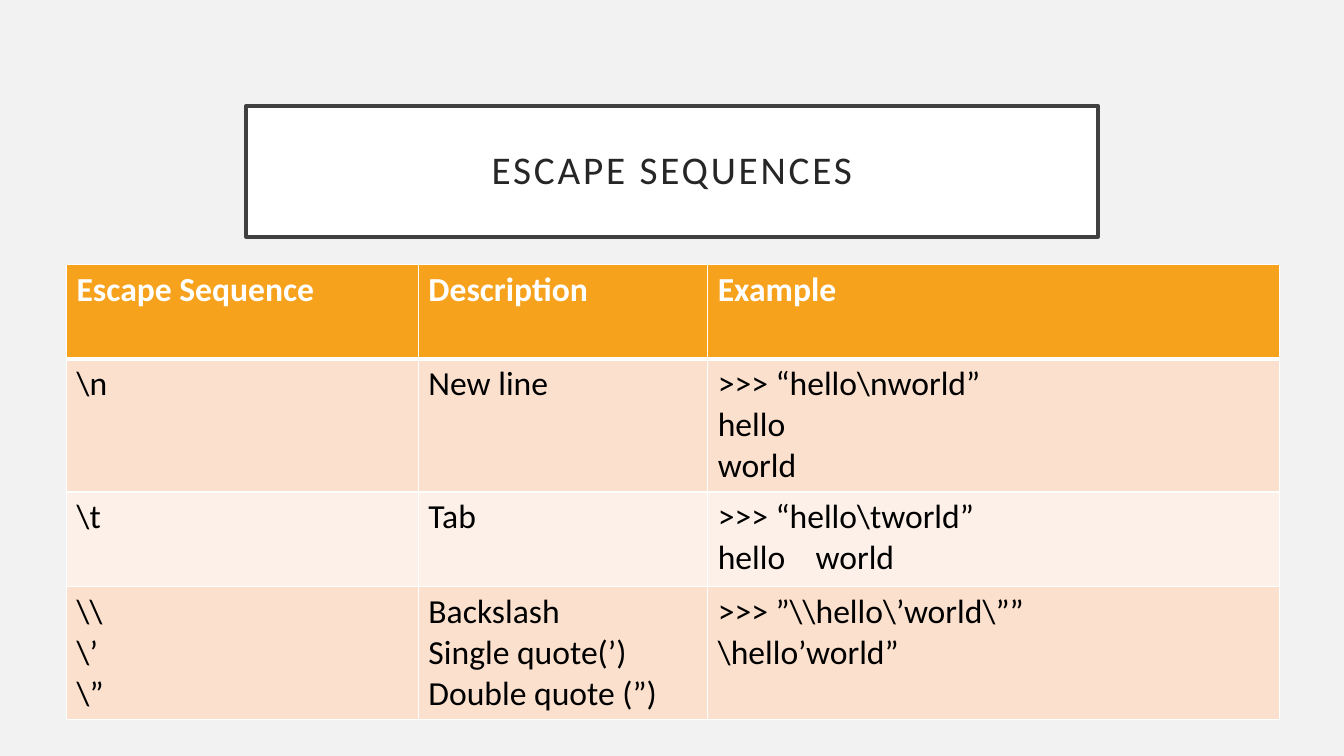
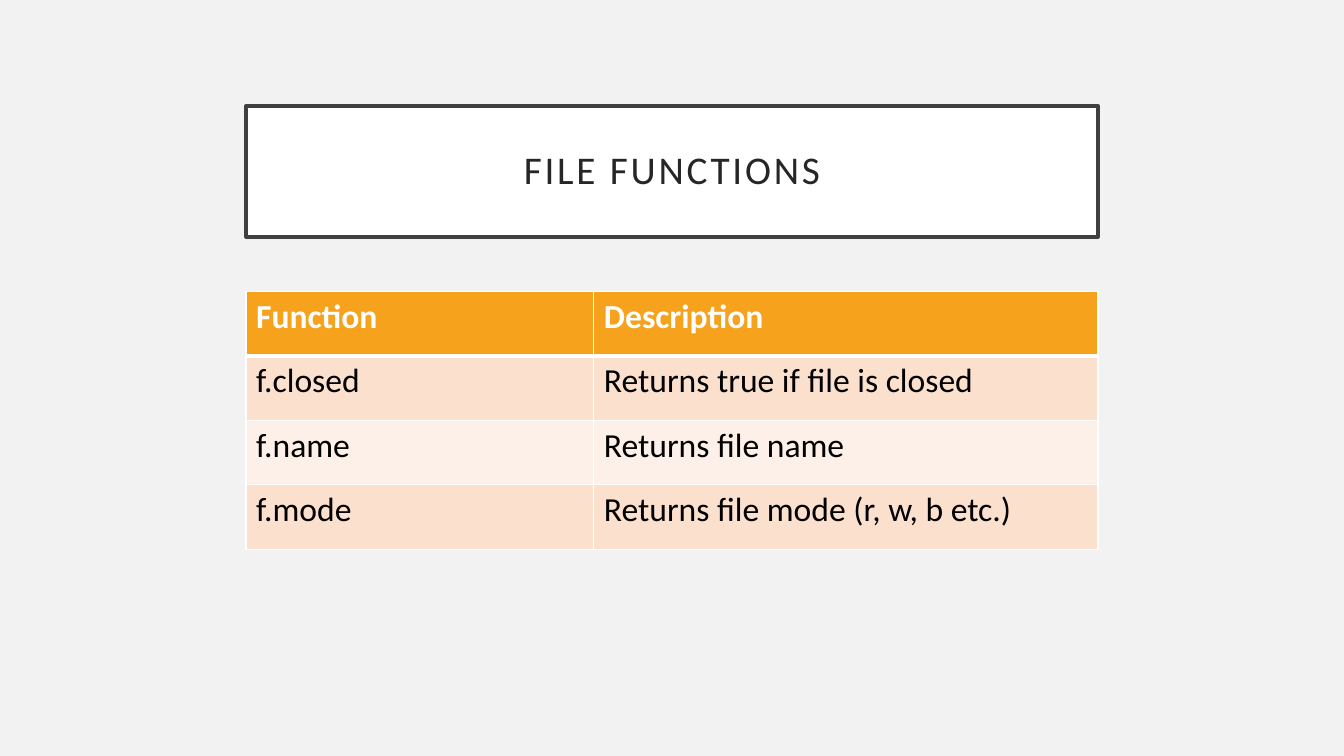
import lxml.etree
import pptx
import pptx.dml.color
import pptx.enum.shapes
import pptx.enum.text
import pptx.oxml.ns
import pptx.util

PX = 9144
FONT = "Calibri"
BACKGROUND = "F2F2F2"
WHITE = "FFFFFF"
FRAME = "404040"
TITLE_INK = "262626"
HEADER_FILL = "F6A21D"
BAND_FILLS = ["FBE0CD", "FDF0E8"]
TITLE_BOX = (244, 105, 845, 130)
TITLE_FORMAT = {"name": FONT, "size": pptx.util.Pt(28)}
HEADER_FORMAT = {"name": FONT, "size": pptx.util.Pt(24), "bold": True}
BODY_FORMAT = {**HEADER_FORMAT, "bold": False}
TITLE_MARGINS = dict.fromkeys(
    ["margin_left", "margin_top", "margin_right", "margin_bottom"], 20 * PX
)

ESCAPE_ROWS = [
    [["Escape Sequence"], ["Description"], ["Example"]],
    [[r"\n"], ["New line"], [r">>> “hello\nworld”", "hello", "world"]],
    [[r"\t"], ["Tab"], [r">>> “hello\tworld”", "hello\tworld"]],
    [
        ["\\\\", r"\’", r"\”"],
        ["Backslash", "Single quote(’)", "Double quote (”)"],
        [r">>> ”\\hello\’world\””", r"\hello’world”"],
    ],
]
FILE_ROWS = [
    [["Function"], ["Description"]],
    [["f.closed"], ["Returns true if file is closed"]],
    [["f.name"], ["Returns file name"]],
    [["f.mode"], ["Returns file mode (r, w, b etc.)"]],
]


def color(hex_value):
    return pptx.dml.color.RGBColor.from_string(hex_value)


def paint(fill, hex_value):
    fill.solid()
    fill.fore_color.rgb = color(hex_value)


def set_all(target, values):
    for name, value in values.items():
        setattr(target, name, value)


def style_font(font, values, ink):
    set_all(font, values)
    font.color.rgb = color(ink)


def add_title(slide, text):
    left, top, width, height = (length * PX for length in TITLE_BOX)
    title = slide.shapes.add_shape(
        pptx.enum.shapes.MSO_SHAPE.RECTANGLE, left, top, width, height
    )
    title.shadow.inherit = False
    paint(title.fill, WHITE)
    paint(title.line.fill, FRAME)
    title.line.width = pptx.util.Pt(2.5)
    frame = title.text_frame
    set_all(frame, TITLE_MARGINS)
    frame.word_wrap = True
    frame.vertical_anchor = pptx.enum.text.MSO_ANCHOR.MIDDLE
    paragraph = frame.paragraphs[0]
    paragraph.alignment = pptx.enum.text.PP_ALIGN.CENTER
    paragraph.line_spacing = 0.9
    run = paragraph.add_run()
    run.text = text
    style_font(run.font, TITLE_FORMAT, TITLE_INK)
    run._r.get_or_add_rPr().set("spc", "200")


def set_borders(cell, top, bottom):
    qn = pptx.oxml.ns.qn
    properties = cell._tc.get_or_add_tcPr()
    widths = {"lnL": 1, "lnR": 1, "lnT": top, "lnB": bottom}
    for position, (side, width) in enumerate(widths.items()):
        border = lxml.etree.Element(qn(f"a:{side}"), w=str(pptx.util.Pt(width)))
        fill = lxml.etree.SubElement(border, qn("a:solidFill"))
        lxml.etree.SubElement(fill, qn("a:srgbClr"), val=WHITE)
        properties.insert(position, border)


def add_tab_stop(paragraph, position):
    qn = pptx.oxml.ns.qn
    stops = lxml.etree.SubElement(paragraph._p.get_or_add_pPr(), qn("a:tabLst"))
    lxml.etree.SubElement(stops, qn("a:tab"), pos=str(position * PX), algn="l")


def fill_cell(cell, lines, row_index):
    is_header = row_index == 0
    band = BAND_FILLS[(row_index - 1) % len(BAND_FILLS)]
    paint(cell.fill, HEADER_FILL if is_header else band)
    set_borders(cell, 3 if row_index == 1 else 1, 3 if is_header else 1)
    cell.text_frame.text = "\n".join(lines)
    for paragraph, line in zip(cell.text_frame.paragraphs, lines):
        if "\t" in line:
            add_tab_stop(paragraph, 97)
        for run in paragraph.runs:
            if is_header:
                style_font(run.font, HEADER_FORMAT, WHITE)
            else:
                style_font(run.font, BODY_FORMAT, "000000")


def add_grid(slide, left, top, widths, heights, rows):
    grid = slide.shapes.add_table(
        len(heights), len(widths), left * PX, top * PX,
        sum(widths) * PX, sum(heights) * PX,
    ).table
    grid.horz_banding = False
    for column, width in zip(grid.columns, widths):
        column.width = width * PX
    for row_index, (row, height, contents) in enumerate(zip(grid.rows, heights, rows)):
        row.height = height * PX
        for cell, lines in zip(row.cells, contents):
            fill_cell(cell, lines, row_index)


def add_table_slide(deck, title, **grid):
    slide = deck.slides.add_slide(deck.slide_layouts[6])
    add_title(slide, title)
    add_grid(slide, **grid)


def main():
    deck = pptx.Presentation()
    deck.slide_width = 1333 * PX
    deck.slide_height = 750 * PX
    paint(deck.slide_master.background.fill, BACKGROUND)
    add_table_slide(
        deck, "ESCAPE SEQUENCES", left=66, top=262,
        widths=[349, 287, 567], heights=[94, 132] * 2, rows=ESCAPE_ROWS,
    )
    add_table_slide(
        deck, "FILE FUNCTIONS", left=244, top=289,
        widths=[345, 500], heights=[64] * 4, rows=FILE_ROWS,
    )
    deck.save("out.pptx")


if __name__ == "__main__":
    main()
